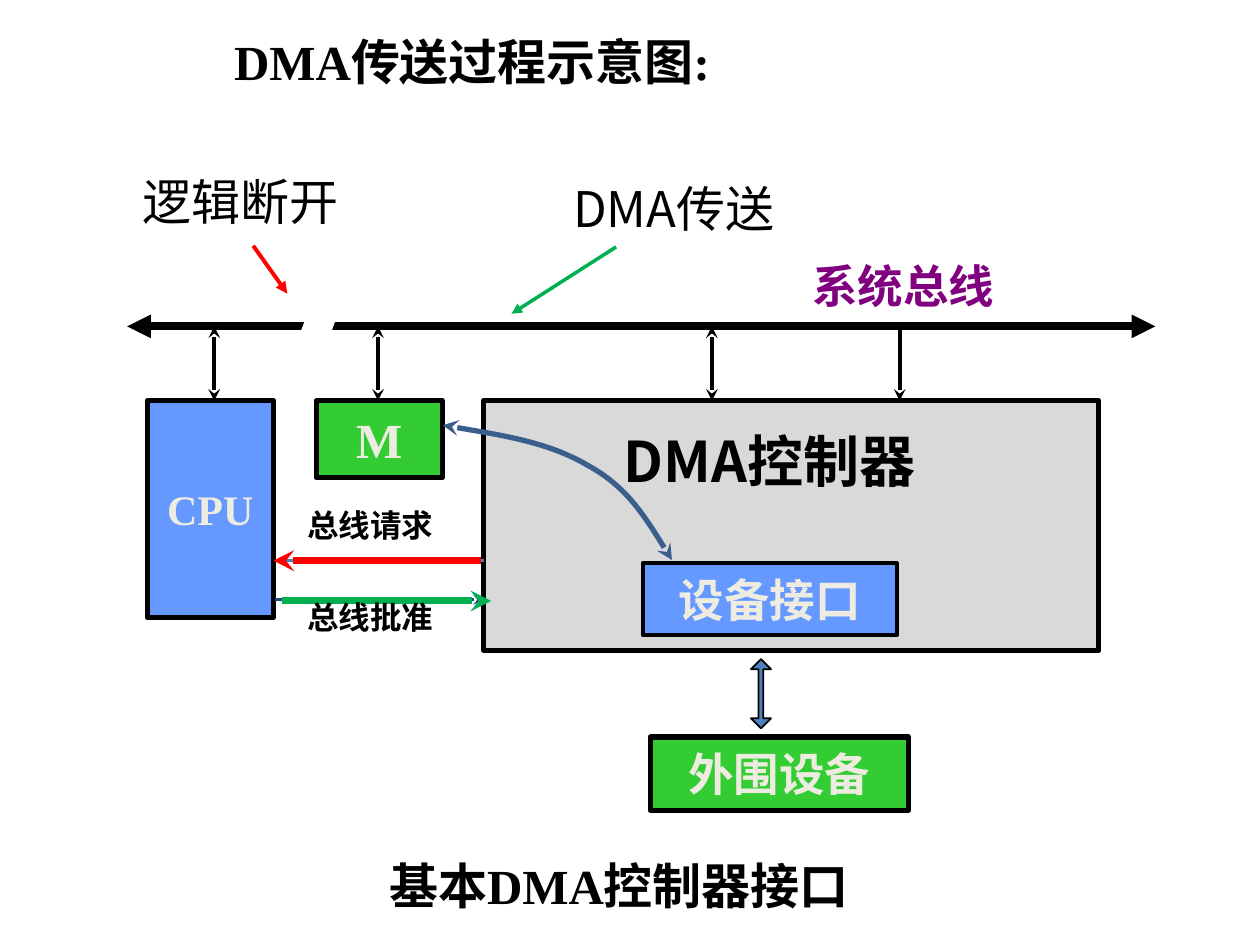
from lxml.etree import SubElement
from pptx import Presentation
from pptx.dml.color import RGBColor
from pptx.enum.shapes import MSO_CONNECTOR, MSO_SHAPE
from pptx.enum.text import MSO_ANCHOR, PP_ALIGN
from pptx.oxml.ns import qn
from pptx.util import Pt

SANS, SERIF = "Noto Sans CJK SC", "Times New Roman"
BLACK, WHITE, CREAM, PURPLE = "000000", "FFFFFF", "EEECE1", "800080"
BLUE, LIME, GREY = "6699FF", "33CC33", "D9D9D9"
RED, GREEN, STEEL, NAVY, SLATE = "FF0000", "00B050", "4F81BD", "1F497D", "3A5F8C"


def paint(target, color):
    """Give a font or line its solid colour."""
    target.color.rgb = RGBColor.from_string(color)


def write(shape, text, size, color, font=SANS, bold=True, align=PP_ALIGN.CENTER):
    """Put one styled paragraph into a shape."""
    frame = shape.text_frame
    frame.word_wrap = True
    frame.vertical_anchor = MSO_ANCHOR.MIDDLE
    para = frame.paragraphs[0]
    para.text = text
    para.alignment = align
    para.font.size, para.font.bold, para.font.name = Pt(size), bold, font
    paint(para.font, color)
    SubElement(para.font._element, qn("a:ea")).set("typeface", SANS)


def add_label(page, area, text, size, color=BLACK, **style):
    """Add a text box."""
    box = page.shapes.add_textbox(*map(Pt, area))
    write(box, text, size, color, **style)


def add_block(page, area, fill, line=BLACK, width=3, kind=MSO_SHAPE.RECTANGLE):
    """Add a filled preset shape, outlined unless the line is None."""
    shape = page.shapes.add_shape(kind, *map(Pt, area))
    shape.shadow.inherit = False
    shape.fill.solid()
    shape.fill.fore_color.rgb = RGBColor.from_string(fill)
    if line:
        paint(shape.line, line)
        shape.line.width = Pt(width)
    else:
        shape.line.fill.background()
    return shape


def style_line(shape, color, width, head, tail):
    """Set a line's colour, width and arrowheads."""
    paint(shape.line, color)
    shape.line.width = Pt(width)
    outline = shape._element.spPr.find(qn("a:ln"))
    for tag, kind in (("a:headEnd", head), ("a:tailEnd", tail)):
        if kind:
            SubElement(outline, qn(tag)).set("type", kind)


def add_arrow(page, start, end, color, width, head=None, tail=None):
    """Add a straight arrow."""
    arrow = page.shapes.add_connector(
        MSO_CONNECTOR.STRAIGHT, *map(Pt, (*start, *end)))
    style_line(arrow, color, width, head, tail)
    SubElement(arrow._element.spPr, qn("a:effectLst"))


def add_curve(page, points, color, width):
    """Add a two-headed curve; each three points after the first make a Bezier."""
    builder = page.shapes.build_freeform(*points[0], scale=float(Pt(1)))
    builder.add_line_segments(points[1:], close=False)
    curve = builder.convert_to_shape()
    curve.shadow.inherit = False
    curve.fill.background()
    outline = curve._element.spPr.find(".//" + qn("a:path"))
    segments = outline.findall(qn("a:lnTo"))
    for first in range(0, len(segments), 3):
        bezier = SubElement(outline, qn("a:cubicBezTo"))
        for segment in segments[first:first + 3]:
            bezier.append(segment[0])
            outline.remove(segment)
    style_line(curve, color, width, "stealth", "stealth")


def draw_captions(page):
    """Place the heading, the footer and the two callouts."""
    left = {"align": PP_ALIGN.LEFT}
    add_label(page, (126.7, 14.4, 425.5, 41), "DMA传送过程示意图:", 28, font=SERIF, **left)
    add_label(page, (215.3, 485.3, 298.8, 41), "基本DMA控制器接口", 28, font=SERIF, **left)
    add_label(page, (74.2, 94.3, 221, 41), "逻辑断开", 28, bold=False, **left)
    add_label(page, (320.4, 98.6, 186.5, 41), "DMA传送", 28, bold=False, **left)
    add_arrow(page, (144.7, 140.4), (164.2, 167.8), RED, 2.25, tail="triangle")
    add_arrow(page, (352.1, 141.1), (292.3, 179.3), GREEN, 2, tail="triangle")


def draw_bus(page, left, top, width):
    """Draw the system bus, its break and the drops to the blocks below."""
    add_arrow(page, (left, top), (left + width, top), BLACK, 4.5, "triangle", "triangle")
    add_label(page, (left + 356.4, top - 42.5, 174.2, 38.2), "系统总线", 26, PURPLE)
    for offset, head in ((49.7, "stealth"), (143.3, "stealth"),
                         (334.1, "stealth"), (441.4, None)):
        add_arrow(page, (left + offset, top), (left + offset, top + 42.5),
                  BLACK, 2.25, head, "stealth")
    gap = add_block(page, (left + 79.9, top - 8.7, 56.2, 23), WHITE, None, kind=MSO_SHAPE.WAVE)
    gap.adjustments[0], gap.adjustments[1] = 0.13, 0
    gap.rotation = 275.7


def draw_processor(page, left, top):
    """Draw the CPU and memory blocks."""
    cpu = add_block(page, (left, top, 72, 123.8), BLUE)
    write(cpu, "CPU", 24, CREAM, font=SERIF)
    memory = add_block(page, (left + 96.5, top, 72, 43.9), LIME)
    write(memory, "M", 28, CREAM, font=SERIF)


def draw_controller(page, left, top):
    """Draw the DMA controller with its interface and the peripheral."""
    add_block(page, (left, top, 351.4, 142.6), GREY)
    add_label(page, (left + 56.2, top + 11.5, 213.8, 45.4), "DMA控制器", 32)
    interface = add_block(page, (left + 90.7, top + 92.9, 145.4, 41), BLUE, width=2.25)
    write(interface, "设备接口", 26, CREAM)
    peripheral = add_block(page, (left + 95, top + 192.2, 147.6, 41.8), LIME)
    write(peripheral, "外围设备", 26, CREAM)
    link = add_block(page, (left + 152.6, top + 147.6, 11.5, 39.6), STEEL,
                     width=1, kind=MSO_SHAPE.UP_DOWN_ARROW)
    link.adjustments[0], link.adjustments[1] = 0.5, 0.233


def draw_handshake(page, left, top):
    """Draw the bus request and grant arrows with their labels."""
    for drop, start, end, color, width, head, tail in (
            (0, 120.2, 0.7, STEEL, 2, None, "stealth"),
            (22.3, 120.2, 0.7, NAVY, 2, "stealth", None),
            (0, 118.8, 0, RED, 4, None, "stealth"),
            (23, 124.6, 5, GREEN, 4, "stealth", None)):
        add_arrow(page, (left + start, top + drop), (left + end, top + drop),
                  color, width, head, tail)
    for offset, text in ((-34.6, "总线请求"), (18, "总线批准")):
        add_label(page, (left + 12.2, top + offset, 124, 28.8), text, 18,
                  align=PP_ALIGN.LEFT)


def draw_transfer(page, left, top):
    """Draw the curved path between memory and the device interface."""
    offsets = ((0, 0), (30.2, 5), (61.2, 10.1), (82.8, 23),
               (105.1, 35.3), (118.1, 56.2), (131.8, 77))
    add_curve(page, [(left + x, top + y) for x, y in offsets], SLATE, 3)


deck = Presentation()
deck.slide_width, deck.slide_height = Pt(720), Pt(540)
page = deck.slides.add_slide(deck.slide_layouts[6])
draw_captions(page)
draw_bus(page, 72.7, 186.5, 587.5)
draw_processor(page, 84.2, 229)
draw_controller(page, 276.5, 229)
draw_handshake(page, 156.2, 320.4)
draw_transfer(page, 252.7, 242.6)
deck.save("out.pptx")
